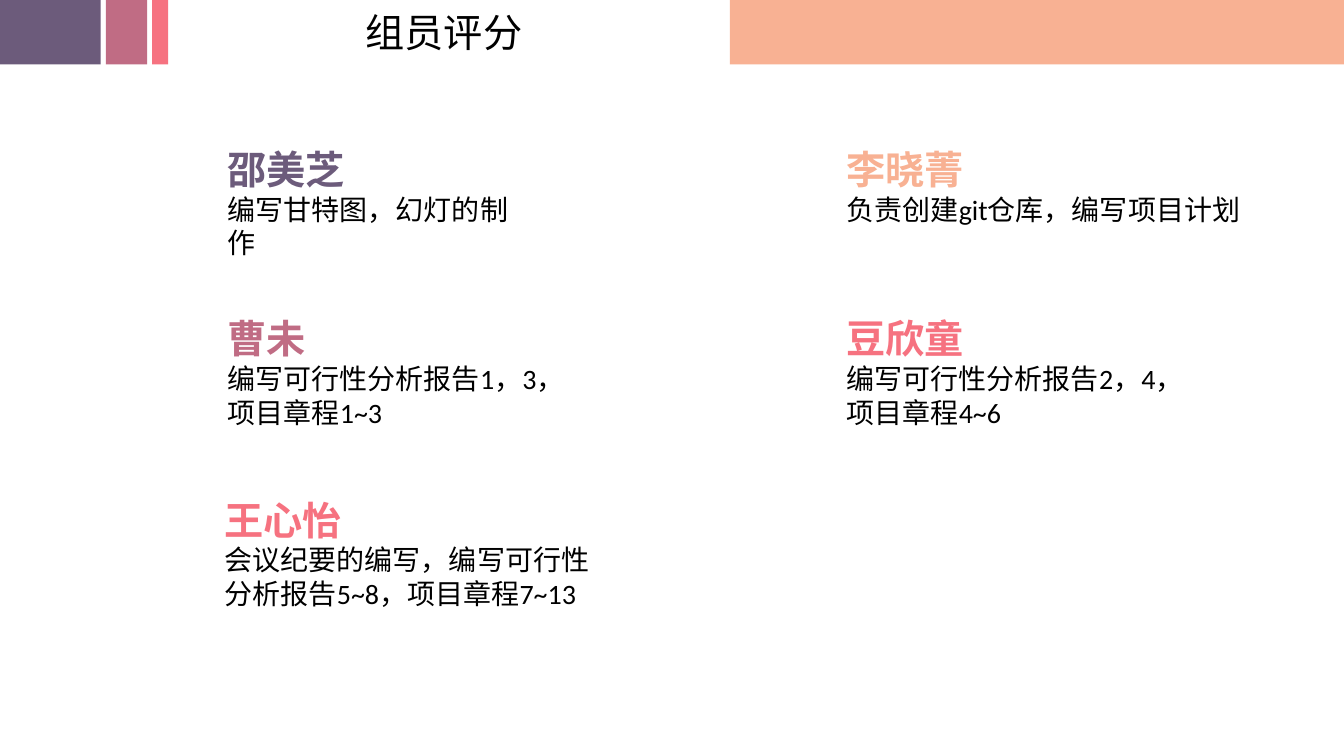
from pptx import Presentation, util as u
from pptx.dml.color import RGBColor
from pptx.enum import shapes, text

PLUM = RGBColor(0x6C, 0x5B, 0x7B)
MAUVE = RGBColor(0xC0, 0x6C, 0x84)
ROSE = RGBColor(0xF6, 0x72, 0x80)
PEACH = RGBColor(0xF8, 0xB1, 0x93)
BLACK = RGBColor(0, 0, 0)

# Grid: cells a tenth of an inch square
CELL = u.Inches(0.1)
WIDE, HIGH = 133.33, 75
BAND = 6.4
LEFT, RIGHT = 21.6, 83
TOP, MID, LOW = 13.9, 30.7, 48.7


def cells(*counts):
    return [round(n * CELL) for n in counts]


def add_bar(slide, col, wide, fill):
    bar = slide.shapes.add_shape(shapes.MSO_SHAPE.RECTANGLE,
                                 *cells(col, 0, wide, BAND))
    bar.shadow.inherit = False
    bar.fill.solid()
    bar.fill.fore_color.rgb = fill
    bar.line.fill.background()


def add_box(slide, col, row, wide, high, wrap=True):
    frame = slide.shapes.add_textbox(*cells(col, row, wide, high)).text_frame
    frame.word_wrap = wrap
    frame.auto_size = text.MSO_AUTO_SIZE.SHAPE_TO_FIT_TEXT
    return frame


def write(para, words, size=20, color=BLACK, bold=False, face="Calibri"):
    run = para.add_run()
    run.text = words
    font = run.font
    font.size, font.bold, font.name = u.Pt(size), bold, face
    font.color.rgb = color


def add_card(slide, col, row, wide, color, name, *tasks):
    high = 5.7 + 3.4 * len(tasks)
    frame = add_box(slide, col, row, wide, high)
    write(frame.paragraphs[0], name, size=28, color=color, bold=True)
    for task in tasks:
        write(frame.add_paragraph(), task)


def main():
    deck = Presentation()
    deck.slide_width, deck.slide_height = cells(WIDE, HIGH)
    slide = deck.slides.add_slide(deck.slide_layouts[6])

    # Header band
    for col, wide, fill in ((72.4, WIDE - 72.4, PEACH), (0, 10, PLUM),
                            (10.5, 4.1, MAUVE), (15.1, 1.6, ROSE)):
        add_bar(slide, col, wide, fill)
    title = add_box(slide, 35.3, 0.3, 17.7, 5.7, wrap=False)
    write(title.paragraphs[0], "组员评分", size=28, face="Noto Sans CJK SC")

    # Team members and their tasks
    add_card(slide, LEFT, TOP, 31.5, PLUM, "邵美芝", "编写甘特图，幻灯的制作")
    add_card(slide, LEFT, MID, 35.7, MAUVE, "曹未",
             "编写可行性分析报告1，3，", "项目章程1~3")
    add_card(slide, LEFT - 0.3, LOW, 38.5, ROSE, "王心怡",
             "会议纪要的编写，编写可行性", "分析报告5~8，项目章程7~13")
    add_card(slide, RIGHT, TOP, 41.4, PEACH, "李晓菁",
             "负责创建git仓库，编写项目计划")
    add_card(slide, RIGHT, MID, 35.7, ROSE, "豆欣童",
             "编写可行性分析报告2，4，", "项目章程4~6")

    deck.save("out.pptx")


if __name__ == "__main__":
    main()
